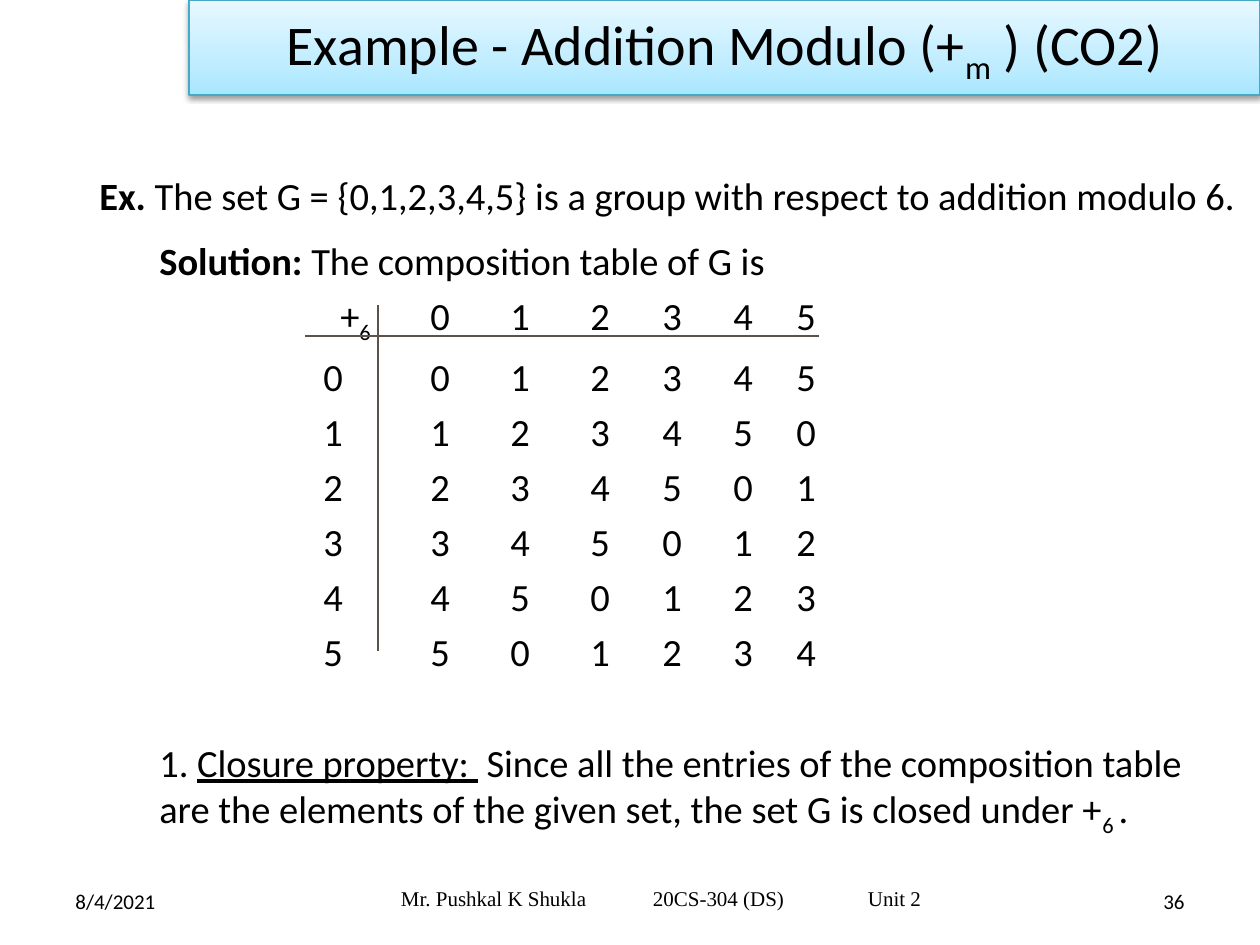
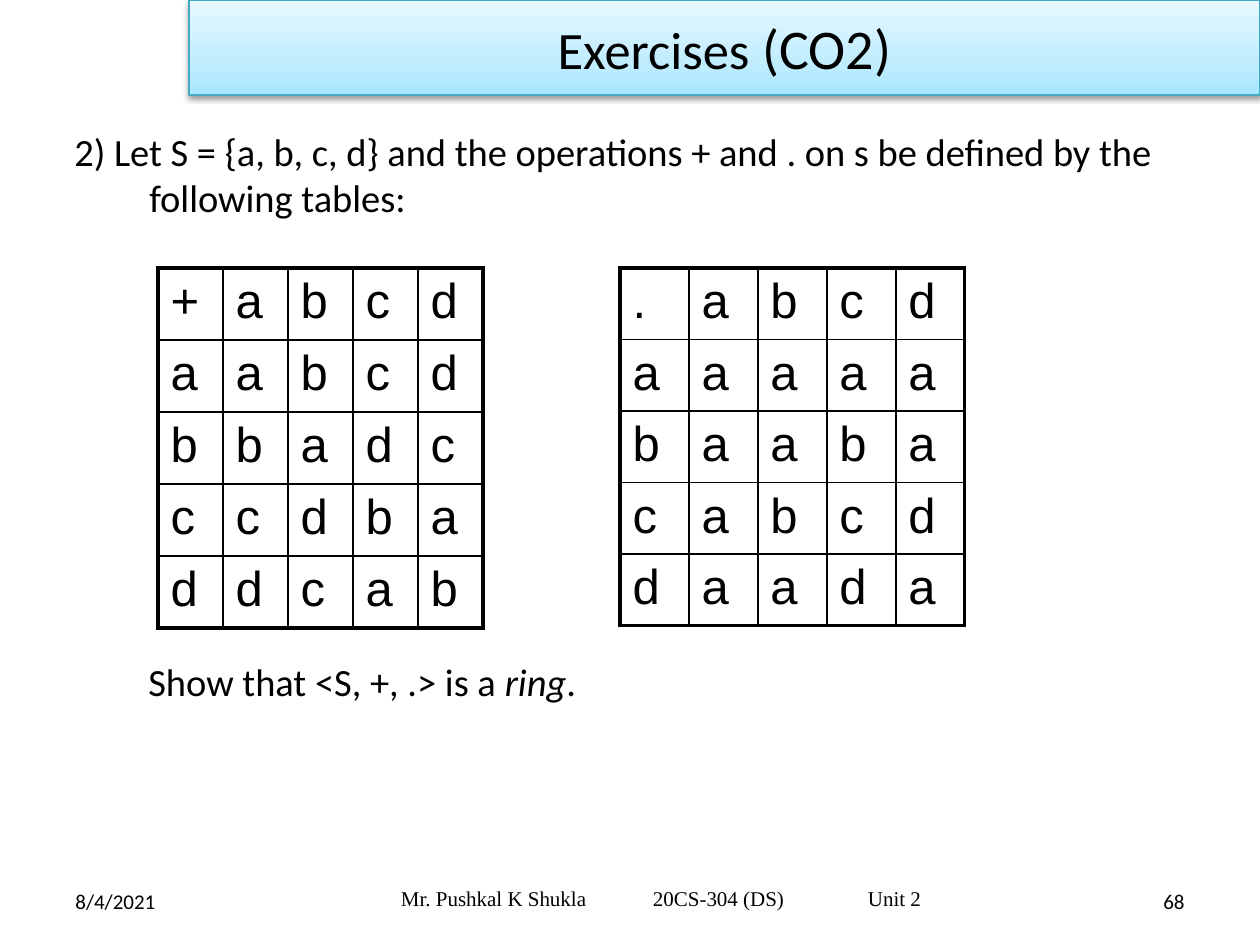
"""Build two slides on addition modulo 6 and a ring exercise."""
from pptx import Presentation, util as u
from pptx.dml.color import RGBColor
from pptx.enum import shapes, text
from pptx.oxml import parse_xml
from pptx.oxml.ns import nsdecls

C = {"text": "000000", "rule": "5B5249", "band_line": "46AAC5",
     "band_low": "A7E6FF", "band_mid": "C1EDFF", "band_high": "E7F8FF"}
NS = nsdecls("a")
SCALE = 914400 / 126
px = lambda *n: [u.Emu(round(v * SCALE)) for v in n]


def write(p, runs, tabs=(), size=22, name="Calibri", **fmt):
    """Fill a paragraph with (text, font values) runs at the given tab stops."""
    if tabs:
        stops = "".join(f'<a:tab pos="{t}" algn="l"/>' for t in px(*tabs))
        p._p.get_or_add_pPr().append(parse_xml(f"<a:tabLst {NS}>{stops}</a:tabLst>"))
    for key, value in fmt.items():
        setattr(p, key, value)
    for content, values in runs:
        r = p.add_run()
        r.text = content
        r.font.color.rgb = RGBColor.from_string(C["text"])
        for key, value in {"size": u.Pt(size), "name": name, **values}.items():
            if key == "baseline":
                r._r.get_or_add_rPr().set(key, value)
            else:
                setattr(r.font, key, value)


def add_box(s, x, y, w, h, anchor=text.MSO_ANCHOR.TOP):
    """Add a wrapping text box and return its text frame."""
    tf = s.shapes.add_textbox(*px(x, y, w, h)).text_frame
    tf.word_wrap = True
    tf.vertical_anchor = anchor
    return tf


SUB = {"baseline": "-25000"}
MIDDLE = text.MSO_ANCHOR.MIDDLE
RIGHT = text.PP_ALIGN.RIGHT

prs = Presentation()
prs.slide_width, prs.slide_height = px(1260, 945)

pages = [
    ("36", [("Example - Addition Modulo (+", {}), ("m", SUB), (" ) (CO2)", {})]),
    ("68", [("Exercises", {"size": u.Pt(30)}), (" (CO2)", {})]),
]
for number, title in pages:
    s = prs.slides.add_slide(prs.slide_layouts[5])
    sp = s.shapes.title
    sp.left, sp.top, sp.width, sp.height = px(189, 0, 1071, 95)
    stops = "".join(f'<a:gs pos="{pos}"><a:srgbClr val="{C[key]}"/></a:gs>' for pos, key in
                    [(0, "band_low"), (35000, "band_mid"), (100000, "band_high")])
    spPr = sp._element.spPr
    spPr.append(parse_xml(f'<a:gradFill {NS} rotWithShape="1"><a:gsLst>{stops}</a:gsLst>'
                          '<a:lin ang="16200000" scaled="0"/></a:gradFill>'))
    sp.line.color.rgb = RGBColor.from_string(C["band_line"])
    sp.line.width = u.Pt(0.75)
    spPr.append(parse_xml(
        f'<a:effectLst {NS}><a:outerShdw blurRad="40000" dist="20000" dir="5400000" '
        f'rotWithShape="0"><a:srgbClr val="{C["text"]}"><a:alpha val="38000"/></a:srgbClr>'
        '</a:outerShdw></a:effectLst>'))
    tf = sp.text_frame
    tf.auto_size = text.MSO_AUTO_SIZE.NONE
    tf.vertical_anchor = MIDDLE
    write(tf.paragraphs[0], title, size=32, alignment=text.PP_ALIGN.CENTER)

    tf = add_box(s, 63, 876, 294, 50, MIDDLE)
    write(tf.paragraphs[0], [("8/4/2021", {})], size=12)
    tf = add_box(s, 903, 876, 294, 50, MIDDLE)
    write(tf.paragraphs[0], [(number, {})], size=12, alignment=RIGHT)
    tf = add_box(s, 315, 873, 693, 50, MIDDLE)
    tf.margin_left = px(86)[0]
    write(tf.paragraphs[0], [("Mr. Pushkal K Shukla\t20CS-304 (DS)\tUnit 2", {})],
          tabs=(252, 467), size=12, name="Times New Roman")

group, ring = prs.slides

tf = add_box(group, 87, 116, 1173, 158, MIDDLE)
write(tf.paragraphs[0], [
    ("Ex. ", {"bold": True}),
    ("The set G = {0,1,2,3,4,5} is a group with respect to addition modulo 6.", {})])

tf = add_box(group, 147, 231, 1071, 567)
write(tf.paragraphs[0], [("Solution: ", {"bold": True}),
                         ("The composition table of G is", {})])
columns = [271, 351, 431, 503, 574, 637]
gap = u.Pt(5)
order = len(columns)
write(tf.add_paragraph(),
      [("\t+", {}), ("6", SUB), ("".join(f"\t{n}" for n in range(order)), {})],
      tabs=[181] + columns, space_before=gap)
for a in range(order):
    sums = "".join(f"\t{(a + b) % order}" for b in range(order))
    write(tf.add_paragraph(), [(f"\t{a}{sums}", {})],
          tabs=[164] + columns, space_before=gap)
write(tf.add_paragraph(), [
    ("1. ", {}), ("Closure property: ", {"underline": True}),
    (" Since all the entries of the composition table are the elements of the given set, "
     "the set G is closed under +", {}),
    ("6 ", SUB), (".", {})], space_before=u.Pt(37))

for ends in [(378, 305, 378, 651), (305, 336, 819, 336)]:
    line = group.shapes.add_connector(shapes.MSO_CONNECTOR.STRAIGHT, *px(*ends))
    line.line.color.rgb = RGBColor.from_string(C["rule"])
    line.line.width = u.Pt(0.75)
    line._element.spPr.append(parse_xml(f"<a:effectLst {NS}/>"))

tf = add_box(ring, 53, 122, 1144, 105)
p = tf.paragraphs[0]
margin, indent = px(84, -75)
pPr = p._p.get_or_add_pPr()
pPr.set("marL", str(margin))
pPr.set("indent", str(indent))
write(p, [("2) Let S = {a, b, c, d} and the operations + and . on s be defined by the "
           "following tables:", {})])
tf = add_box(ring, 136, 652, 1061, 60)
write(tf.paragraphs[0], [("Show that <S, +, .> is a ", {}), ("ring", {"italic": True}),
                         (".", {})])

tables = [(158, 65, 72, ["+abcd", "aabcd", "bbadc", "ccdba", "ddcab"]),
          (620, 69, 69, [".abcd", "aaaaa", "baaba", "cabcd", "daada"])]
for left, col_w, row_h, rows in tables:
    n = len(rows)
    tbl = ring.shapes.add_table(n, n, *px(left, 268, col_w * n, row_h * n)).table
    tbl.first_row = tbl.horz_banding = False
    for i, row in enumerate(rows):
        tbl.rows[i].height, tbl.columns[i].width = px(row_h, col_w)
        for j, entry in enumerate(row):
            cell = tbl.cell(i, j)
            write(cell.text_frame.paragraphs[0], [(entry, {})], size=28, name="Arial")
            outer = {"L": j == 0, "R": j == n - 1, "T": i == 0, "B": i == n - 1}
            for side, is_outer in outer.items():
                width = u.Pt(2.25 if is_outer else 1)
                cell._tc.get_or_add_tcPr().append(parse_xml(
                    f'<a:ln{side} {NS} w="{width}"><a:solidFill><a:srgbClr val="{C["text"]}"/>'
                    f'</a:solidFill></a:ln{side}>'))
            cell.fill.background()

prs.save("out.pptx")
